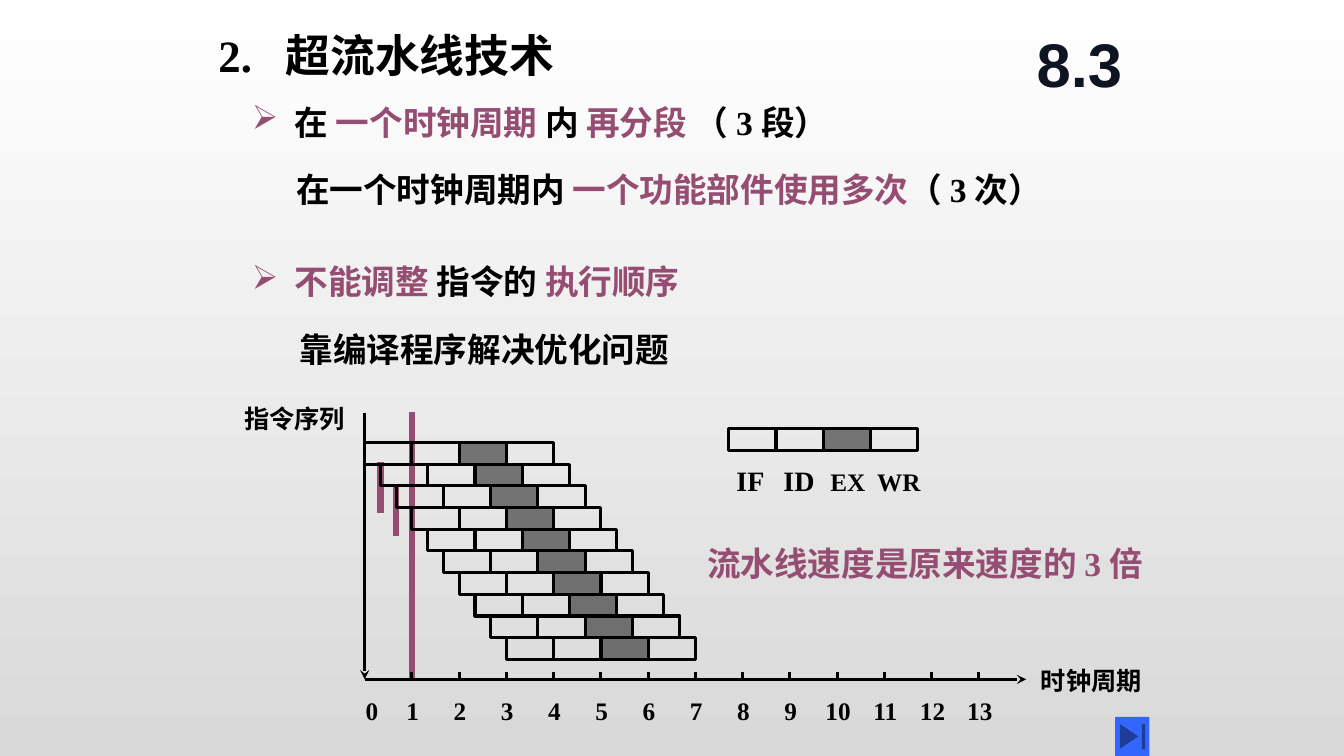
from lxml import etree
from pptx import Presentation
from pptx.dml.color import RGBColor
from pptx.enum.shapes import MSO_CONNECTOR, MSO_SHAPE
from pptx.enum.text import MSO_ANCHOR as ANCHOR, MSO_AUTO_SIZE, PP_ALIGN as ALIGN
from pptx.oxml.ns import qn
from pptx.util import Pt

BLACK = RGBColor(0x00, 0x00, 0x00)
WHITE = RGBColor(0xFF, 0xFF, 0xFF)
GREY = RGBColor(0xD9, 0xD9, 0xD9)
PLUM = RGBColor(0x95, 0x4D, 0x72)
NAVY = RGBColor(0x0F, 0x14, 0x23)
BLUE = RGBColor(0x33, 0x66, 0xFF)

# Diagram grid, in points
ORIGIN_X, AXIS_Y = 260.5, 485.25
CYCLE = 33.75
STEP = CYCLE / 3
ROW_TOP, ROW_H = 316, 15.5

prs = Presentation()
prs.slide_width, prs.slide_height = Pt(960), Pt(540)
s = prs.slides.add_slide(prs.slide_layouts[5])


def add_text(text, left, top, width, height, *, size=24, color=BLACK,
             font="Times New Roman", align=ALIGN.LEFT, anchor=ANCHOR.TOP,
             inset=7.2, bullet=None, indent=30.5, tabs=(), tab_align="l", sp=None):
    """Text is a string or a list of (text, color[, size]) runs."""
    if sp is None:
        sp = s.shapes.add_textbox(0, 0, 0, 0)
    sp.left, sp.top, sp.width, sp.height = Pt(left), Pt(top), Pt(width), Pt(height)
    tf = sp.text_frame
    tf.word_wrap, tf.auto_size = True, MSO_AUTO_SIZE.NONE
    tf.vertical_anchor = anchor
    tf.margin_left = tf.margin_right = Pt(inset)
    tf.margin_top = tf.margin_bottom = Pt(3.6)
    p = tf.paragraphs[0]
    p.alignment = align
    pPr = p._p.get_or_add_pPr()
    if bullet:
        pPr.set("marL", str(Pt(indent)))
        pPr.set("indent", str(-Pt(indent)))
        bu_clr = etree.SubElement(pPr, qn("a:buClr"))
        etree.SubElement(bu_clr, qn("a:srgbClr"), val=str(PLUM))
        etree.SubElement(pPr, qn("a:buChar"), char=bullet)
    if tabs:
        tab_list = etree.SubElement(pPr, qn("a:tabLst"))
        for pos in tabs:
            etree.SubElement(tab_list, qn("a:tab"), pos=str(Pt(pos)), algn=tab_align)
    runs = [(text, color)] if isinstance(text, str) else text
    for run_text, run_color, *run_size in runs:
        r = p.add_run()
        r.text = run_text
        r.font.name, r.font.bold = font, True
        r.font.size = Pt(run_size[0] if run_size else size)
        r.font.color.rgb = run_color


def add_line(x1, y1, x2, y2, color=BLACK, weight=2.25, arrow=False):
    line = s.shapes.add_connector(MSO_CONNECTOR.STRAIGHT, Pt(x1), Pt(y1), Pt(x2), Pt(y2))
    line.line.color.rgb, line.line.width = color, Pt(weight)
    if arrow:
        etree.SubElement(line.line._get_or_add_ln(), qn("a:tailEnd"), type="stealth")
    etree.SubElement(line._element.spPr, qn("a:effectLst"))


# Background
bg = s.background.fill
bg.gradient()
bg.gradient_angle = 270
for stop, color in zip(bg.gradient_stops, (WHITE, GREY)):
    stop.color.rgb = color

# Title and section number
add_text("2.\t超流水线技术", 156, 18, 346, 42, size=32, anchor=ANCHOR.MIDDLE,
         inset=0, tabs=[48], sp=s.shapes.title)
add_text("8.3", 726, 12, 90, 66, size=44, color=NAVY, font="Arial",
         align=ALIGN.CENTER, anchor=ANCHOR.MIDDLE)

# Key points
points = [
    (180, 66, "➢", [("在 ", BLACK), ("一个时钟周期 ", PLUM), ("内 ", BLACK),
                    ("再分段", PLUM), (" （ 3 段）", BLACK)]),
    (211.5, 114, None, [("在一个时钟周期内 ", BLACK), ("一个功能部件使用多次", PLUM),
                        ("（ 3 次）", BLACK)]),
    (180, 180, "➢", [("不能调整 ", PLUM), ("指令的 ", BLACK), ("执行顺序", PLUM)]),
    (214, 228, None, "靠编译程序解决优化问题"),
]
for left, top, bullet, text in points:
    add_text(text, left, top, 600, 42, anchor=ANCHOR.MIDDLE, inset=0, bullet=bullet)
add_text("流水线速度是原来速度的 3 倍", 498, 384, 366, 36, color=PLUM)

# Start markers of the first three sub-cycles
for thirds, top, bottom in [(3, 294, 484.5), (1, 330, 366.5), (2, 348, 383)]:
    x = ORIGIN_X + thirds * STEP
    add_line(x, top, x, bottom, PLUM, 4.5)

# Ten instructions, each a third of a cycle later, and the legend bar
bars = [(ORIGIN_X + i * STEP, ROW_TOP + i * ROW_H) for i in range(10)]
bars.append((520.5, 306))
for left, top in bars:
    for stage in ("IF", "ID", "EX", "WR"):
        sp = s.shapes.add_shape(MSO_SHAPE.RECTANGLE, Pt(left), Pt(top), Pt(CYCLE), Pt(ROW_H))
        sp.shadow.inherit = False
        sp.line.color.rgb, sp.line.width = BLACK, Pt(2.25)
        if stage == "EX":
            sp.fill.solid()
            sp.fill.fore_color.rgb = BLACK
            rgb = sp._element.spPr.find(qn("a:solidFill")).find(qn("a:srgbClr"))
            etree.SubElement(rgb, qn("a:alpha"), val="50000")
        else:
            sp.fill.background()
        left += CYCLE
add_text([("IF\tID\t", BLACK, 20), ("EX\tWR", BLACK, 18)], 519, 327.5, 155, 32,
         tabs=[33.5 * i for i in (1, 2, 3)])

# Axes, ticks and labels
add_line(ORIGIN_X, 295, ORIGIN_X, AXIS_Y, arrow=True)
add_line(ORIGIN_X, AXIS_Y, 733, AXIS_Y, arrow=True)
for i in range(1, 14):
    x = ORIGIN_X + i * CYCLE
    add_line(x, AXIS_Y - 5, x, AXIS_Y)
add_text("\t".join(str(i) for i in range(14)), 254, 493, 475, 29, size=18,
         tabs=[i * CYCLE for i in range(1, 14)], tab_align="ctr")
add_text("时钟周期", 736.5, 471.5, 103, 29, size=18)
add_text("指令序列", 167.5, 284.5, 103, 29, size=18)

# Skip-to-end button
button = s.shapes.add_shape(MSO_SHAPE.ACTION_BUTTON_END, Pt(796.5), Pt(512), Pt(24.5), Pt(28))
button.shadow.inherit = False
button.fill.solid()
button.fill.fore_color.rgb = BLUE
button.line.fill.background()

prs.save("out.pptx")
